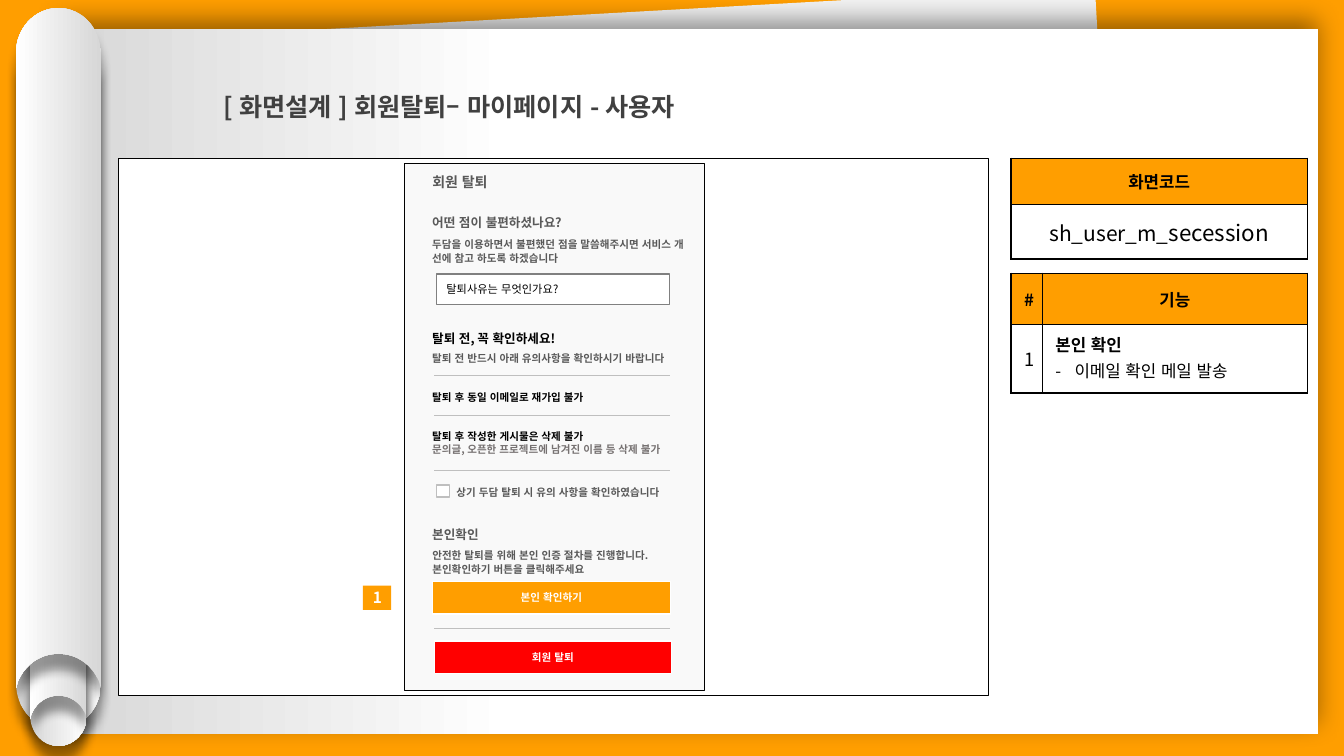
from dataclasses import dataclass
from typing import Optional

from lxml.etree import SubElement
from pptx import Presentation
from pptx.dml.color import RGBColor
from pptx.enum.shapes import MSO_CONNECTOR, MSO_SHAPE
from pptx.enum.text import MSO_ANCHOR, MSO_AUTO_SIZE, PP_ALIGN
from pptx.oxml import parse_xml
from pptx.oxml.ns import nsdecls, qn
from pptx.util import Inches, Pt

FONT = "Noto Sans CJK KR"
ORANGE = RGBColor(0xFF, 0x9E, 0x00)
RED = RGBColor(0xFF, 0x00, 0x00)
WHITE = RGBColor(0xFF, 0xFF, 0xFF)
BLACK = RGBColor(0x00, 0x00, 0x00)
SHEET = RGBColor(0xF2, 0xF2, 0xF2)
PHONE = RGBColor(0xF9, 0xF9, 0xF9)
ROLL = RGBColor(0xD7, 0xD7, 0xD7)
RULE = RGBColor(0xBF, 0xBF, 0xBF)
FIELD = RGBColor(0x80, 0x80, 0x80)
TITLE = RGBColor(0x40, 0x40, 0x40)
GREY = RGBColor(0x59, 0x59, 0x59)
NOTE = RGBColor(0x76, 0x71, 0x71)


@dataclass
class Run:
    text: str
    size: float = 7.5
    color: RGBColor = GREY
    bold: bool = True


@dataclass
class Box:
    left: float
    top: float
    width: float
    height: float
    fill: Optional[RGBColor] = None
    line: Optional[RGBColor] = None
    weight: float = 1
    run: Optional[Run] = None
    align: PP_ALIGN = PP_ALIGN.CENTER
    rotation: float = 0


@dataclass
class Label:
    left: float
    top: float
    width: float
    height: float
    lines: list[Run]
    spacing: Optional[Pt] = None


@dataclass
class Roll:
    left: float
    top: float
    width: float
    height: float
    rotation: float = 0


@dataclass
class Cell:
    lines: list[list[Run]]
    fill: Optional[RGBColor] = None
    align: PP_ALIGN = PP_ALIGN.CENTER
    anchor: MSO_ANCHOR = MSO_ANCHOR.MIDDLE
    spacing: Optional[Pt] = None


def add_run(p, run: Run) -> None:
    r = p.add_run()
    r.text = run.text
    r.font.size = Pt(run.size)
    r.font.bold = run.bold
    r.font.color.rgb = run.color
    r.font.name = FONT
    rPr = r.font._element
    rPr.set("lang", "ko-KR")
    rPr.set("kern", "0")
    SubElement(rPr, qn("a:ea"), typeface=FONT)


def add_shadow(s, blur: float, distance: float, angle: int) -> None:
    s._element.spPr.append(parse_xml(
        f'<a:effectLst {nsdecls("a")}><a:outerShdw blurRad="{Pt(blur)}" dist="{Pt(distance)}" '
        f'dir="{angle * 60000}" algn="ctr" rotWithShape="0"><a:srgbClr val="000000">'
        '<a:alpha val="40000"/></a:srgbClr></a:outerShdw></a:effectLst>'))


def add_gradient(s, stops: list[tuple[float, RGBColor]]) -> None:
    s.fill.gradient()
    s.fill.gradient_angle = 180
    for stop, (position, color) in zip(s.fill.gradient_stops, stops):
        stop.position = position
        stop.color.rgb = color


def add_box(shapes, box: Box):
    s = shapes.add_shape(MSO_SHAPE.RECTANGLE, Inches(box.left), Inches(box.top),
                         Inches(box.width), Inches(box.height))
    s.rotation = box.rotation
    if box.fill is not None:
        s.fill.solid()
        s.fill.fore_color.rgb = box.fill
    if box.line is None:
        s.line.fill.background()
    else:
        s.line.color.rgb = box.line
        s.line.width = Pt(box.weight)
    if box.run:
        s.text_frame.vertical_anchor = MSO_ANCHOR.MIDDLE
        p = s.text_frame.paragraphs[0]
        p.alignment = box.align
        add_run(p, box.run)
    return s


def add_label(shapes, label: Label):
    s = shapes.add_textbox(Inches(label.left), Inches(label.top),
                           Inches(label.width), Inches(label.height))
    tf = s.text_frame
    tf.word_wrap = True
    tf.vertical_anchor = MSO_ANCHOR.MIDDLE
    for i, run in enumerate(label.lines):
        p = tf.add_paragraph() if i else tf.paragraphs[0]
        p.line_spacing = label.spacing
        add_run(p, run)
    return s


def add_roll(shapes, roll: Roll) -> None:
    """A tube with a domed top and a hollow bottom, both drawn as curves."""
    w, h = roll.width, roll.height
    right = [(0.5 * w, 0), (0.78 * w, 0), (w, 0.24 * w), (w, 0.53 * w), (w, h),
             (0.98 * w, h - 0.08 * w), (0.89 * w, h - 0.29 * w),
             (0.71 * w, h - 0.41 * w), (0.5 * w, h - 0.41 * w)]
    left = [(w - x, y) for x, y in reversed(right[:-1])]
    points = [(Inches(roll.left + x), Inches(roll.top + y)) for x, y in right + left]
    builder = shapes.build_freeform(*points[0], scale=1.0)
    builder.add_line_segments(points[1:], close=True)
    s = builder.convert_to_shape()
    # Join each group of three segments into one Bezier curve
    segments = list(s._element.iter(qn("a:lnTo")))
    for start in (0, 5, 8, 13):
        first, *others = segments[start:start + 3]
        first.tag = qn("a:cubicBezTo")
        for other in others:
            first.append(other[0])
            other.getparent().remove(other)
    s.rotation = roll.rotation
    s.line.fill.background()
    add_gradient(s, [(0, ROLL), (1, WHITE)])
    add_shadow(s, 7, 11, 90)


def add_rule(shapes, y: float) -> None:
    s = shapes.add_connector(MSO_CONNECTOR.STRAIGHT, Inches(4.31), Inches(y), Inches(6.65), Inches(y))
    s.line.color.rgb = RULE
    s.line.width = Pt(0.5)
    SubElement(s._element.spPr, qn("a:effectLst"))


def add_grid(shapes, top: float, widths: list[float], heights: list[float], rows: list[list[Cell]]) -> None:
    table = shapes.add_table(len(heights), len(widths), Inches(10.03), Inches(top),
                             Inches(sum(widths)), Inches(sum(heights))).table
    table.first_row = table.horz_banding = False
    for column, width in zip(table.columns, widths):
        column.width = Inches(width)
    for row, height, cells in zip(table.rows, heights, rows):
        row.height = Inches(height)
        for c, cell in zip(row.cells, cells):
            fill_cell(c, cell)


def fill_cell(c, cell: Cell) -> None:
    c.margin_left = c.margin_right = Inches(0.13)
    c.margin_top = c.margin_bottom = Inches(0.07)
    c.vertical_anchor = cell.anchor
    if cell.fill is None:
        c.fill.background()
    else:
        c.fill.solid()
        c.fill.fore_color.rgb = cell.fill
    for i, side in enumerate(("lnL", "lnR", "lnT", "lnB")):
        c._tc.tcPr.insert(i, parse_xml(
            f'<a:{side} {nsdecls("a")} w="{Pt(1)}"><a:solidFill><a:srgbClr val="{BLACK}"/>'
            f'</a:solidFill></a:{side}>'))
    for i, runs in enumerate(cell.lines):
        p = c.text_frame.add_paragraph() if i else c.text_frame.paragraphs[0]
        p.alignment = cell.align
        p.line_spacing = cell.spacing
        if i:  # lines below the heading are dashed items
            pPr = p._p.get_or_add_pPr()
            pPr.set("marL", str(Inches(0.19)))
            pPr.set("indent", str(Inches(-0.19)))
            SubElement(pPr, qn("a:buFont"), typeface=FONT)
            SubElement(pPr, qn("a:buChar"), char="-")
        for run in runs:
            add_run(p, run)


def header(text: str, spacing: Optional[Pt] = None) -> Cell:
    return Cell([[Run(text, 12, BLACK)]], ORANGE, spacing=spacing)


ROLLS = [Roll(0.16, 0.48, 0.84, 6.75, 180), Roll(0.3, 2.88, 0.56, 4.52, 180),
         Roll(0.3, 2.61, 0.56, 4.52), Roll(0.16, 0.08, 0.84, 6.75)]
BOXES = [
    Box(1.18, 1.57, 8.63, 5.33, WHITE, BLACK, 0.75),
    Box(4.01, 1.62, 2.98, 5.23, PHONE, BLACK, 0.75),
    Box(4.33, 2.72, 2.31, 0.3, WHITE, FIELD, 1,
        Run("탈퇴사유는 무엇인가요?", 8, BLACK, False), PP_ALIGN.LEFT),
    Box(4.33, 4.81, 0.13, 0.12, WHITE, RULE),
    Box(4.29, 5.77, 2.36, 0.32, ORANGE, WHITE, 1, Run("본인 확인하기", color=WHITE)),
    Box(4.31, 6.36, 2.35, 0.32, RED, WHITE, 1, Run("회원 탈퇴", color=WHITE)),
    Box(3.6, 5.81, 0.28, 0.24, ORANGE, run=Run("1", 11, WHITE)),
]
LABELS = [
    Label(4.19, 1.73, 1.01, 0.15, [Run("회원 탈퇴", 10)]),
    Label(4.19, 2.13, 2, 0.15, [Run("어떤 점이 불편하셨나요?", 9)]),
    Label(4.19, 2.36, 4.43, 0.26, [Run("두담을 이용하면서 불편했던 점을 말씀해주시면 서비스 개"),
                                   Run("선에 참고 하도록 하겠습니다")], Pt(10)),
    Label(4.19, 3.28, 2, 0.15, [Run("탈퇴 전, 꼭 확인하세요!", 9, BLACK)]),
    Label(4.19, 3.43, 4.43, 0.26, [Run("탈퇴 전 반드시 아래 유의사항을 확인하시기 바랍니다")]),
    Label(4.19, 3.81, 4.43, 0.26, [Run("탈퇴 후 동일 이메일로 재가입 불가", color=BLACK)]),
    Label(4.19, 4.21, 4.43, 0.37, [Run("탈퇴 후 작성한 게시물은 삭제 불가", color=BLACK),
                                   Run("문의글, 오픈한 프로젝트에 남겨진 이름 등 삭제 불가", color=NOTE)]),
    Label(4.43, 4.75, 4.43, 0.26, [Run("상기 두담 탈퇴 시 유의 사항을 확인하였습니다")]),
    Label(4.19, 5.23, 2, 0.15, [Run("본인확인", 9)]),
    Label(4.19, 5.47, 4.09, 0.21, [Run("안전한 탈퇴를 위해 본인 인증 절차를 진행합니다."),
                                   Run("본인확인하기 버튼을 클릭해주세요")], Pt(10)),
]


def main() -> None:
    prs = Presentation()
    prs.slide_width, prs.slide_height = Inches(40 / 3), Inches(7.5)
    slide = prs.slides.add_slide(prs.slide_layouts[6])
    slide.background.fill.solid()
    slide.background.fill.fore_color.rgb = ORANGE
    shapes = slide.shapes

    # Paper scroll
    add_box(shapes, Box(0.91, 0.14, 10.15, 6.8, SHEET, rotation=-3.2)).shadow.inherit = False
    paper = add_box(shapes, Box(0.58, 0.29, 12.5, 6.99))
    add_gradient(paper, [(0.64, WHITE), (1, ROLL)])
    add_shadow(paper, 18, 6, 270)
    for roll in ROLLS:
        add_roll(shapes, roll)

    # Screen code and function tables
    add_grid(shapes, 1.57, [2.94], [0.46, 0.54], [
        [header("화면코드")],
        [Cell([[Run("sh_user_m_", 15, BLACK, False), Run("secession", 16, BLACK, False)]])]])
    add_grid(shapes, 2.71, [0.31, 2.63], [0.51, 0.68], [
        [header("#", Pt(18)), header("기능", Pt(18))],
        [Cell([[Run("1", 13, BLACK, False)]], spacing=Pt(18)),
         Cell([[Run("본인 확인", 12, BLACK)], [Run("이메일 확인 메일 발송", 12, BLACK, False)]],
              None, PP_ALIGN.LEFT, MSO_ANCHOR.TOP, Pt(18))]])

    # Phone screen
    for box in BOXES:
        add_box(shapes, box).shadow.inherit = False
    for label in LABELS:
        add_label(shapes, label)
    for y in (3.72, 4.12, 4.67, 6.23):
        add_rule(shapes, y)

    # Title
    tf = add_label(shapes, Label(2.15, 0.72, 7.21, 0.53, [
        Run("[ 화면설계 ] 회원탈퇴– 마이페이지 - 사용자", 18, TITLE)], 1.5)).text_frame
    tf.margin_left = tf.margin_right = Inches(0.07)
    tf.margin_top = tf.margin_bottom = Inches(0.04)
    tf.vertical_anchor = MSO_ANCHOR.TOP
    tf.auto_size = MSO_AUTO_SIZE.SHAPE_TO_FIT_TEXT
    prs.save("out.pptx")


if __name__ == "__main__":
    main()
